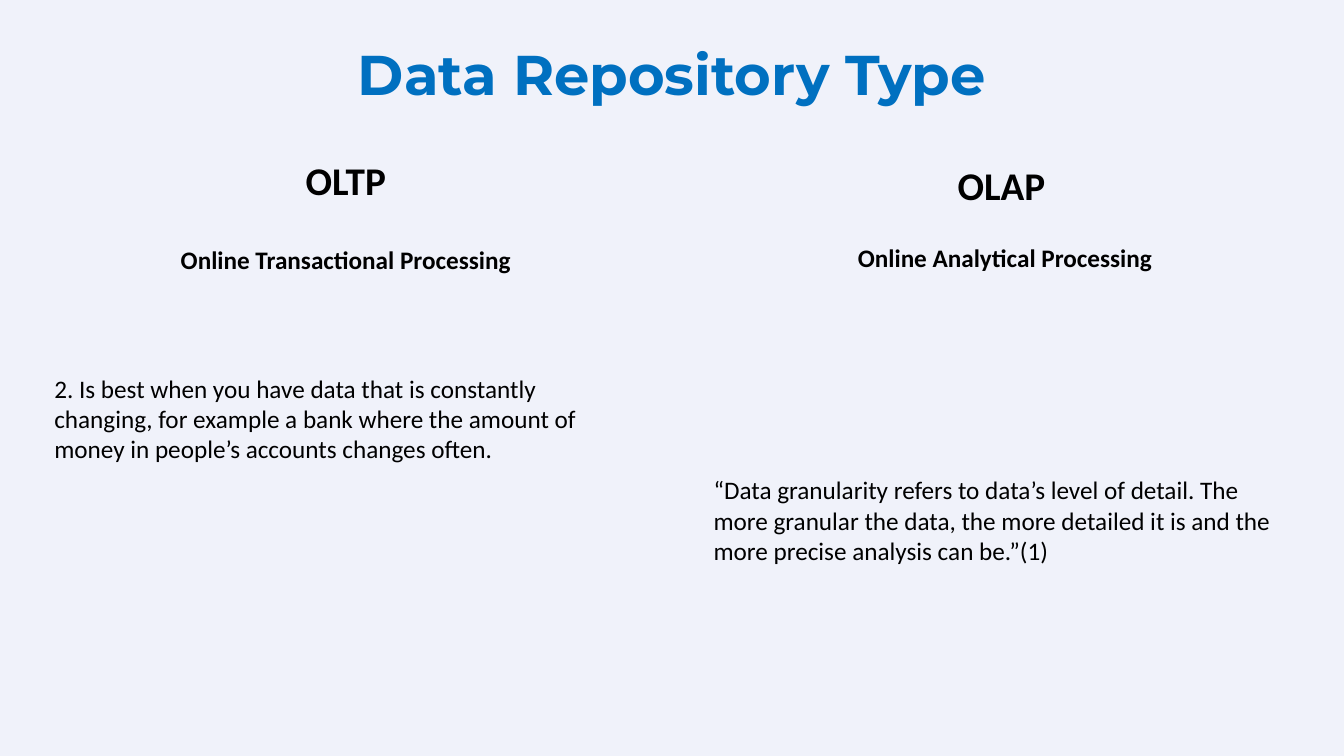
from pptx import Presentation
from pptx.dml.color import RGBColor
from pptx.enum.text import MSO_ANCHOR, PP_ALIGN
from pptx.util import Pt

BACK = RGBColor(0xF0, 0xF2, 0xFA)
BLUE = RGBColor(0x00, 0x70, 0xC0)
BLACK = RGBColor(0, 0, 0)
MID = MSO_ANCHOR.MIDDLE
TOP = MSO_ANCHOR.TOP
LEFT = PP_ALIGN.LEFT
CENTER = PP_ALIGN.CENTER
NO_GRID = "{2D5ABB26-0587-4C30-8999-92F81FD0307C}"
OLTP_X, OLAP_X = 31.7, 502.6
WIDE = 430.6


def write(frame, text, size, bold=False, align=LEFT, font="Calibri", color=BLACK):
    """Fill a text frame with one formatted paragraph."""
    frame.text = text
    line = frame.paragraphs[0]
    line.alignment = align
    for run in line.runs:
        run.font.name = font
        run.font.size = Pt(size)
        run.font.bold = bold
        run.font.color.rgb = color


def add_title(slide, text):
    """Place and format the slide title."""
    title = slide.shapes.title
    title.left, title.top = Pt(24.5), Pt(24.5)
    title.width, title.height = Pt(910.8), Pt(55.4)
    title.text_frame.word_wrap = True
    title.text_frame.vertical_anchor = MID
    write(title.text_frame, text, 40, True, CENTER, "Montserrat", BLUE)


def add_text(slide, text, x, y, high, anchor=TOP, bold=False, align=LEFT):
    """Add a wrapped text box one column wide."""
    box = slide.shapes.add_textbox(Pt(x), Pt(y), Pt(WIDE), Pt(high))
    box.text_frame.word_wrap = True
    box.text_frame.vertical_anchor = anchor
    write(box.text_frame, text, 18, bold, align)


def add_head(slide, text, x, y, wide, high, size):
    """Add a heading as a plain table of one cell."""
    frame = slide.shapes.add_table(1, 1, Pt(x), Pt(y), Pt(wide), Pt(high))
    table = frame.table
    table.first_row = table.horz_banding = False
    table._tbl.tblPr.find("{*}tableStyleId").text = NO_GRID
    cell = table.cell(0, 0)
    cell.fill.background()
    write(cell.text_frame, text, size, True, CENTER)


def main():
    """Build the slide and save it."""
    deck = Presentation()
    deck.slide_width, deck.slide_height = Pt(960), Pt(540)
    slide = deck.slides.add_slide(deck.slide_layouts[5])
    slide.background.fill.solid()
    slide.background.fill.fore_color.rgb = BACK

    add_title(slide, "Data Repository Type")
    add_head(slide, "OLTP", OLTP_X, 109.4, WIDE, 41, 28)
    add_text(slide, "Online Transactional Processing", OLTP_X, 167, 36, MID, True, CENTER)
    add_text(slide, "2. Is best when you have data that is constantly changing, "
             "for example a bank where the amount of money in people’s "
             "accounts changes often.", OLTP_X, 262.8, 72.7)
    add_head(slide, "OLAP", OLAP_X, 113, 425.5, 41, 28)
    add_head(slide, "Online Analytical Processing", OLAP_X, 170.6, WIDE, 28.8, 18)
    add_text(slide, "“Data granularity refers to data’s level of detail. The more "
             "granular the data, the more detailed it is and the more precise "
             "analysis can be.”(1)", OLAP_X, 335.5, 72.7)
    deck.save("out.pptx")


main()
